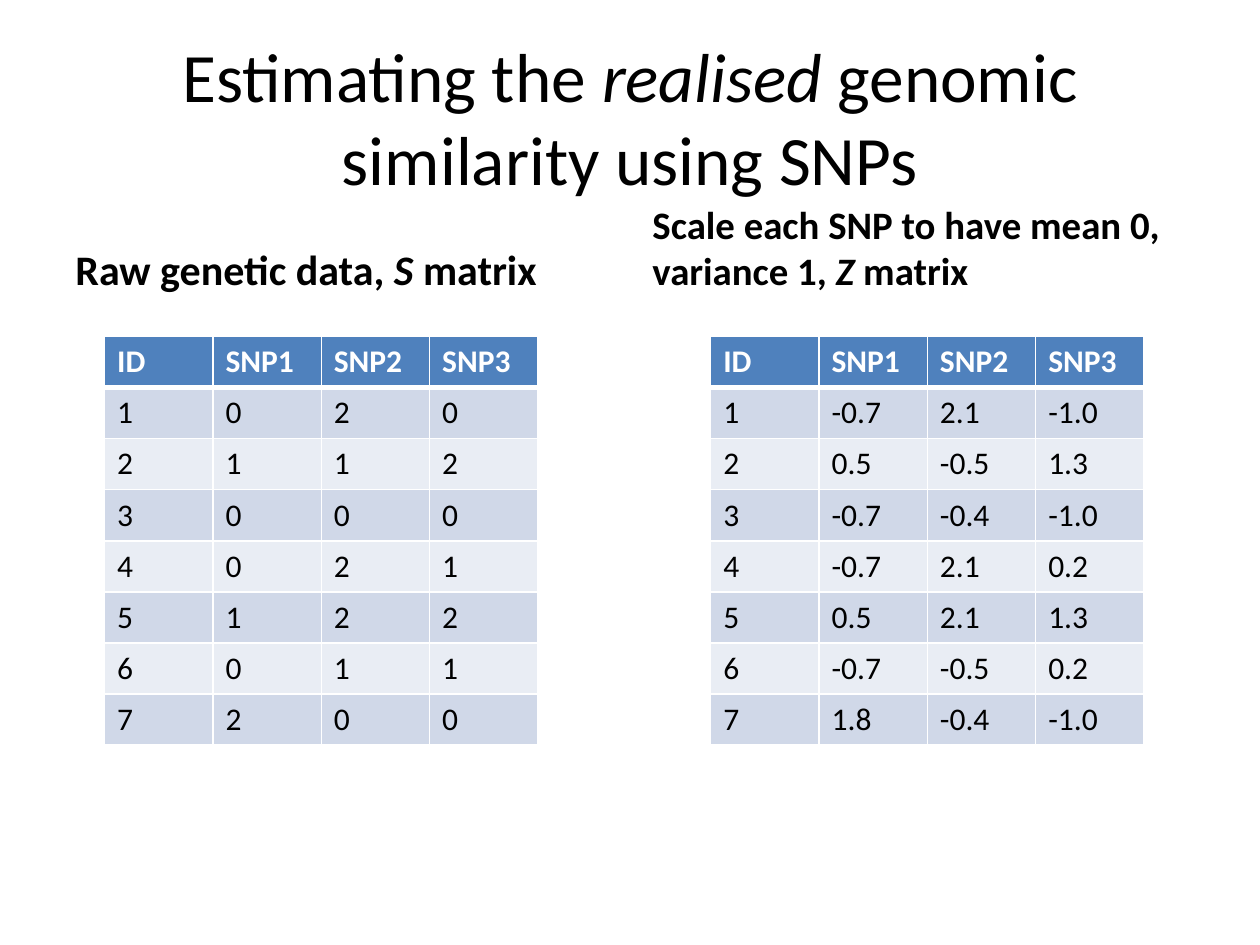
"""Build a slide that sets raw SNP data beside its scaled form."""

from dataclasses import dataclass

from lxml.etree import SubElement
from pptx import Presentation
from pptx.dml.color import RGBColor
from pptx.enum.text import MSO_ANCHOR, MSO_AUTO_SIZE, PP_ALIGN
from pptx.oxml.ns import qn
from pptx.slide import Slide
from pptx.table import _Cell
from pptx.text.text import TextFrame, _Run
from pptx.util import Inches, Pt

FONT = "Calibri"
BLACK, WHITE, BLUE = "000000", "FFFFFF", "4F81BD"
BANDS = ("E9EDF4", "D0D8E8")
HEADS = ("ID", "SNP1", "SNP2", "SNP3")
COL, ROW = 0.86, 0.405


@dataclass
class Panel:
    """A heading and the table below it."""

    text_x: float
    grid_x: float
    size: float
    label: tuple[str, str, str]
    rows: list[tuple[str, str, str]]


PANELS = [
    Panel(0.5, 0.83, 24, ("Raw genetic data, ", "S", " matrix"), [
        ("0", "2", "0"),
        ("1", "1", "2"),
        ("0", "0", "0"),
        ("0", "2", "1"),
        ("1", "2", "2"),
        ("0", "1", "1"),
        ("2", "0", "0"),
    ]),
    Panel(5.08, 5.64, 22.2,
          ("Scale each SNP to have mean 0, variance 1, ", "Z", " matrix"), [
        ("-0.7", "2.1", "-1.0"),
        ("0.5", "-0.5", "1.3"),
        ("-0.7", "-0.4", "-1.0"),
        ("-0.7", "2.1", "0.2"),
        ("0.5", "2.1", "1.3"),
        ("-0.7", "-0.5", "0.2"),
        ("1.8", "-0.4", "-1.0"),
    ]),
]


def color(code: str) -> RGBColor:
    """Turn a hex string into a colour."""
    return RGBColor.from_string(code)


def style(run: _Run, size: float, code: str, bold: bool) -> None:
    """Set the font of a run."""
    font = run.font
    font.name, font.size, font.bold = FONT, Pt(size), bold
    font.color.rgb = color(code)


def write(frame: TextFrame, label: tuple[str, str, str], size: float,
          bold: bool) -> None:
    """Write three runs, the middle one in italics."""
    frame.word_wrap = True
    frame.auto_size = MSO_AUTO_SIZE.NONE
    line = frame.paragraphs[0]
    for index, text in enumerate(label):
        run = line.add_run()
        run.text = text
        style(run, size, BLACK, bold)
        run.font.italic = index == 1


def edge(cell: _Cell, row: int) -> None:
    """Draw white borders, thick between the header and the body."""
    props = cell._tc.get_or_add_tcPr()
    thick = {"T": row == 1, "B": row == 0}
    for side in "LRTB":
        width = Pt(3 if thick.get(side) else 1)
        line = SubElement(props, qn(f"a:ln{side}"), w=str(width))
        fill = SubElement(line, qn("a:solidFill"))
        SubElement(fill, qn("a:srgbClr"), val=WHITE)


def draw_grid(slide: Slide, panel: Panel) -> None:
    """Add the table of a panel."""
    body = [(str(n), *vals) for n, vals in enumerate(panel.rows, 1)]
    rows = [HEADS, *body]
    table = slide.shapes.add_table(
        len(rows), len(HEADS), Inches(panel.grid_x), Inches(2.67),
        Inches(COL * len(HEADS)), Inches(ROW * len(rows))).table
    for col in table.columns:
        col.width = Inches(COL)
    for r, vals in enumerate(rows):
        table.rows[r].height = Inches(ROW)
        head = r == 0
        for c, val in enumerate(vals):
            cell = table.cell(r, c)
            edge(cell, r)
            cell.fill.solid()
            cell.fill.fore_color.rgb = color(BLUE if head else BANDS[r % 2])
            cell.text_frame.text = val
            run = cell.text_frame.paragraphs[0].runs[0]
            style(run, 18, WHITE if head else BLACK, head)


def draw_panel(slide: Slide, panel: Panel) -> None:
    """Add a heading and its table."""
    box = slide.shapes.add_textbox(
        Inches(panel.text_x), Inches(1.68), Inches(4.42), Inches(0.7))
    box.text_frame.vertical_anchor = MSO_ANCHOR.BOTTOM
    write(box.text_frame, panel.label, panel.size, True)
    draw_grid(slide, panel)


def main() -> None:
    """Build and save the slide."""
    deck = Presentation()
    deck.slide_width, deck.slide_height = Inches(10), Inches(7.5)
    slide = deck.slides.add_slide(deck.slide_layouts[5])
    title = slide.shapes.title
    title.left, title.top = Inches(0.5), Inches(0.3)
    title.width, title.height = Inches(9), Inches(1.25)
    frame = title.text_frame
    frame.vertical_anchor = MSO_ANCHOR.MIDDLE
    label = ("Estimating the ", "realised", " genomic similarity using SNPs")
    write(frame, label, 39.6, False)
    frame.paragraphs[0].alignment = PP_ALIGN.CENTER
    for panel in PANELS:
        draw_panel(slide, panel)
    deck.save("out.pptx")


if __name__ == "__main__":
    main()
